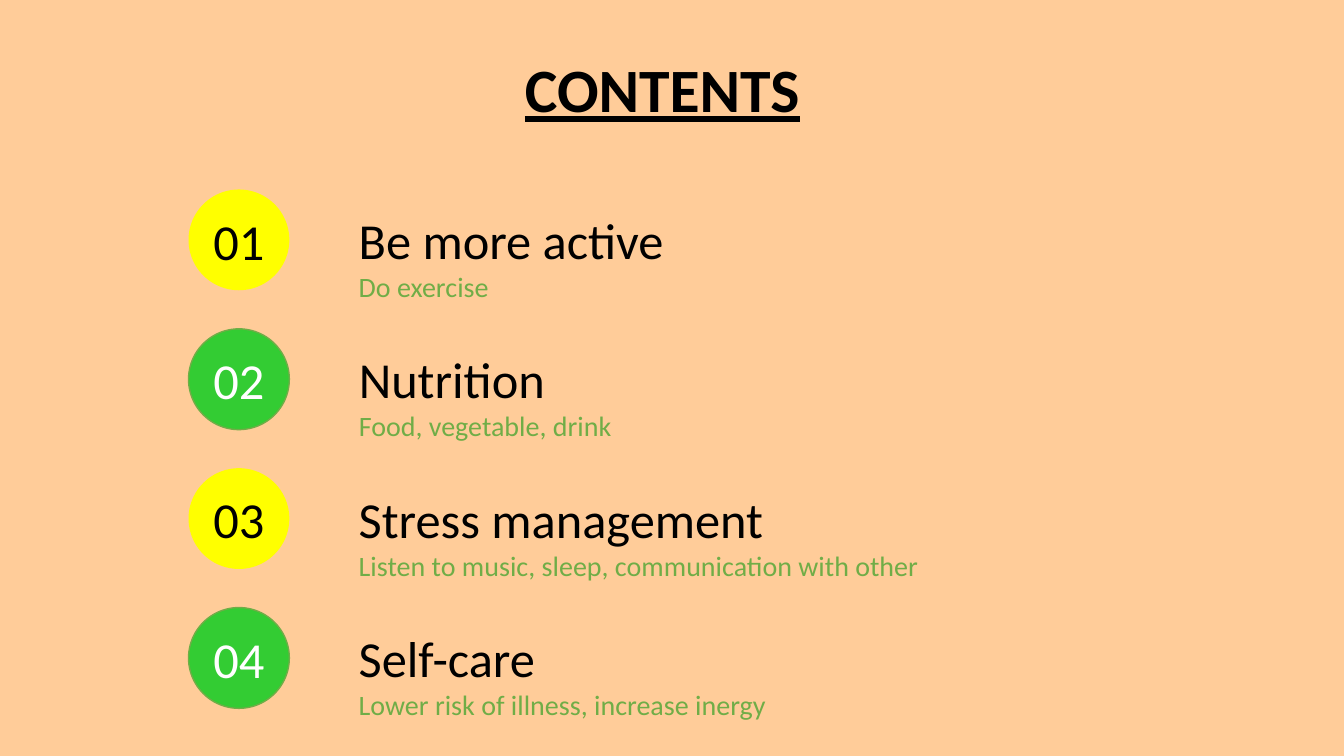
from pptx import Presentation
from pptx.dml.color import RGBColor
from pptx.enum import shapes, text
from pptx.util import Inches, Pt

PEACH = RGBColor(0xFF, 0xCC, 0x99)
YELLOW = RGBColor(0xFF, 0xFF, 0x00)
LIME = RGBColor(0x33, 0xCC, 0x33)
GREEN = RGBColor(0x70, 0xAD, 0x47)
BLACK = RGBColor(0, 0, 0)
WHITE = RGBColor(0xFF, 0xFF, 0xFF)
FONT = "Calibri"

ITEMS = [
    ("Be more active", "Do exercise", 3.46),
    ("Nutrition", "Food, vegetable, drink", 2.99),
    ("Stress management", "Listen to music, sleep, communication with other", 5.83),
    ("Self-care", "Lower risk of illness, increase inergy", 5.96),
]


def style(para, size, color):
    font = para.runs[0].font
    font.name, font.size = FONT, Pt(size)
    font.color.rgb = color
    return font


def add_title(slide, left, top, width, height):
    title = slide.shapes.title
    title.left, title.top = Inches(left), Inches(top)
    title.width, title.height = Inches(width), Inches(height)
    frame = title.text_frame
    frame.text = "CONTENTS"
    frame.vertical_anchor = text.MSO_ANCHOR.TOP
    frame.auto_size = text.MSO_AUTO_SIZE.SHAPE_TO_FIT_TEXT
    para = frame.paragraphs[0]
    para.alignment = text.PP_ALIGN.CENTER
    font = style(para, 44, BLACK)
    font.bold = font.underline = True


def add_badge(slide, left, top, size, num):
    odd = num % 2 == 1
    badge = slide.shapes.add_shape(
        shapes.MSO_SHAPE.OVAL, Inches(left), Inches(top), Inches(size), Inches(size))
    badge.shadow.inherit = False
    badge.fill.solid()
    badge.fill.fore_color.rgb = YELLOW if odd else LIME
    if odd:
        badge.line.fill.background()
    else:
        badge.line.color.rgb = GREEN
        badge.line.width = Pt(1)
    frame = badge.text_frame
    frame.text = f"{num:02}"
    frame.vertical_anchor = text.MSO_ANCHOR.MIDDLE
    para = frame.paragraphs[0]
    para.alignment = text.PP_ALIGN.CENTER
    style(para, 36, BLACK if odd else WHITE)


def add_item(slide, left, top, num, head, note, width):
    # Numbered circle
    add_badge(slide, left, top, 1, num)
    # Heading and note
    box = slide.shapes.add_textbox(
        Inches(left + 1.59), Inches(top + 0.145), Inches(width), Inches(1.04))
    frame = box.text_frame
    frame.word_wrap = True
    frame.auto_size = text.MSO_AUTO_SIZE.SHAPE_TO_FIT_TEXT
    frame.text = head
    style(frame.paragraphs[0], 36, BLACK)
    para = frame.add_paragraph()
    para.text = note
    style(para, 20, GREEN)


def add_list(slide, left, top, height):
    step = height / len(ITEMS)
    for i, (head, note, width) in enumerate(ITEMS):
        add_item(slide, left, top + i * step, i + 1, head, note, width)


def main():
    deck = Presentation()
    deck.slide_width, deck.slide_height = Inches(13.33), Inches(7.5)
    slide = deck.slides.add_slide(deck.slide_layouts[5])
    slide.background.fill.solid()
    slide.background.fill.fore_color.rgb = PEACH
    add_title(slide, 3.73, 0.46, 5.68, 0.84)
    add_list(slide, 1.87, 1.88, 5.53)
    deck.save("out.pptx")


if __name__ == "__main__":
    main()
